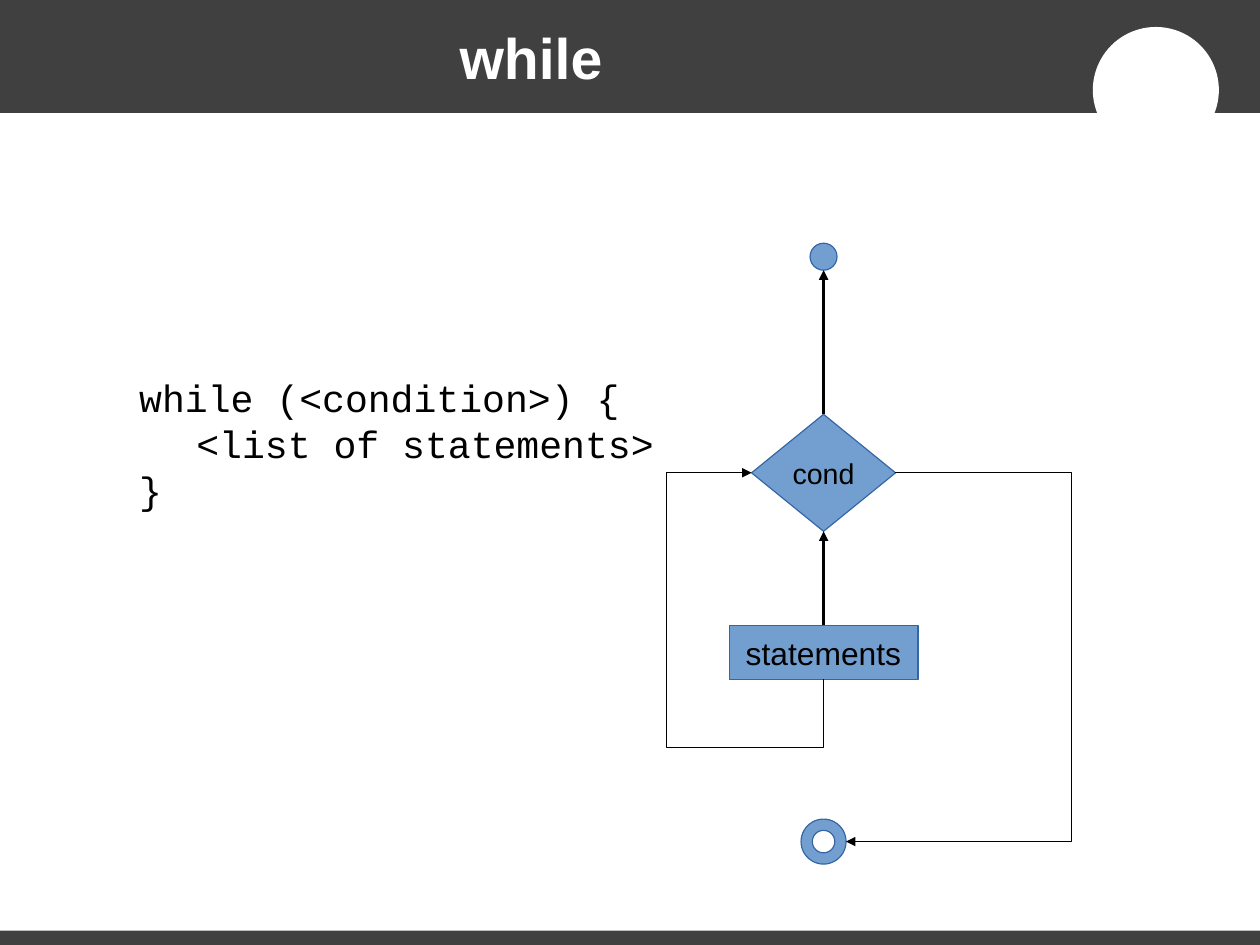
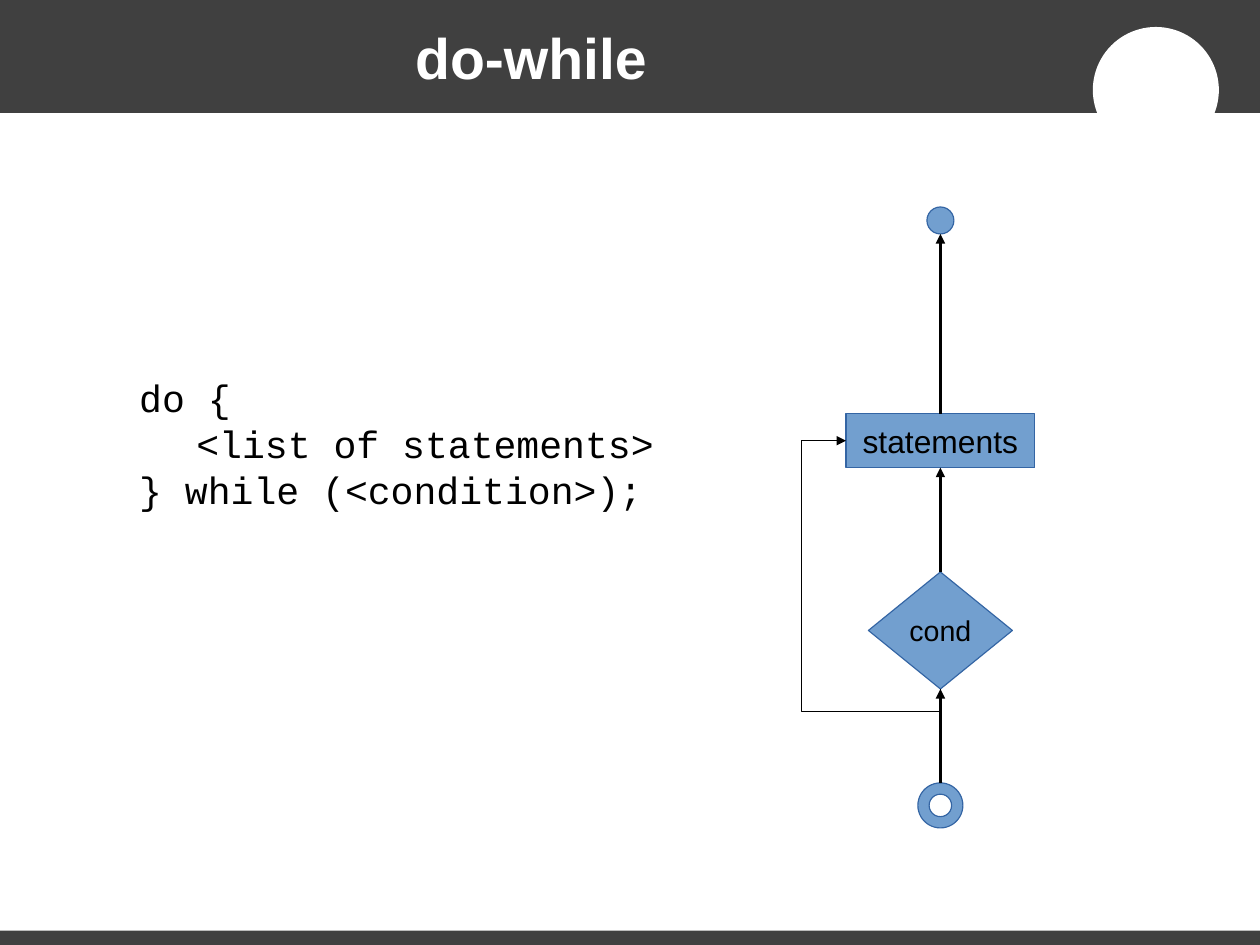
from lxml import etree
from pptx import Presentation
from pptx.dml.color import RGBColor
from pptx.enum.shapes import MSO_CONNECTOR, MSO_SHAPE
from pptx.enum.text import MSO_ANCHOR, PP_ALIGN
from pptx.oxml.ns import qn
from pptx.util import Pt

RECTANGLE, OVAL = MSO_SHAPE.RECTANGLE, MSO_SHAPE.OVAL
DECISION, PROCESS = MSO_SHAPE.FLOWCHART_DECISION, MSO_SHAPE.FLOWCHART_PROCESS
DOT, DONUT = MSO_SHAPE.FLOWCHART_CONNECTOR, MSO_SHAPE.DONUT
STRAIGHT = MSO_CONNECTOR.STRAIGHT
TOP, MIDDLE = MSO_ANCHOR.TOP, MSO_ANCHOR.MIDDLE
LEFT, CENTER = PP_ALIGN.LEFT, PP_ALIGN.CENTER
SITE_TOP, SITE_BOTTOM = 0, 2

color = RGBColor.from_string
DARK, WHITE, BLACK = "404040", "FFFFFF", "000000"
NODE_FILL, NODE_LINE = "729FCF", "3465A4"
WIDTH, HEIGHT = 793.7, 595.28
BAND_HEIGHT, FOOTER_TOP = 71.2, 586.2

# Preset, width, height, label and label size of each flowchart part
NODES = {
    "cond": (DECISION, 90.7, 73.7, "cond", 18),
    "end": (DOT, 17, 17, "", 0),
    "start": (DONUT, 28.35, 28.35, "", 0),
    "body": (PROCESS, 119, 34, "statements", 20),
}

# loop: from, to, lowest y, leftmost x; leave_x: right side of the way round
SLIDES = [
    {
        "title": "while",
        "code": ["while (<condition>) {", "\t<list of statements>", "}"],
        "axis": 518.8,
        "tops": {"cond": 261, "end": 153.2, "start": 516, "body": 394},
        "steps": [("cond", "end"), ("body", "cond")],
        "loop": ("body", "cond", 470.7, 420),
        "leave_x": 675,
    },
    {
        "title": "do-while",
        "code": ["do {", "\t<list of statements>", "} while (<condition>);"],
        "axis": 592.4,
        "tops": {"cond": 360.3, "end": 130.4, "start": 493.2, "body": 260.6},
        "steps": [("body", "end"), ("cond", "body"), ("start", "cond")],
        "loop": ("cond", "body", 448, 505),
        "leave_x": None,
    },
]


def write(frame, lines, size, font="Arial", ink=BLACK, bold=False, align=CENTER,
          anchor=MIDDLE, wrap=True, inset=None):
    frame.word_wrap = wrap
    frame.vertical_anchor = anchor
    if inset is not None:
        frame.margin_left = frame.margin_right = Pt(inset)
        frame.margin_top = frame.margin_bottom = Pt(inset)
    for number, line in enumerate(lines):
        paragraph = frame.add_paragraph() if number else frame.paragraphs[0]
        paragraph.alignment = align
        run = paragraph.add_run()
        run.text = line
        run.font.name, run.font.size, run.font.bold = font, Pt(size), bold
        run.font.color.rgb = color(ink)


def add_filled(shapes, preset, box, fill, line=None):
    shape = shapes.add_shape(preset, *map(Pt, box))
    shape.shadow.inherit = False
    shape.fill.solid()
    shape.fill.fore_color.rgb = color(fill)
    if line:
        shape.line.color.rgb = color(line)
        shape.line.width = Pt(0)
    else:
        shape.line.fill.background()
    return shape


deck = Presentation()
deck.slide_width, deck.slide_height = Pt(WIDTH), Pt(HEIGHT)

for content in SLIDES:
    shapes = deck.slides.add_slide(deck.slide_layouts[6]).shapes

    # Header band, round cut-out and footer band
    add_filled(shapes, RECTANGLE, (0, 0, WIDTH, BAND_HEIGHT), DARK)
    add_filled(shapes, OVAL, (688.4, 17, 79.4, 79.4), WHITE)
    add_filled(shapes, RECTANGLE, (0, FOOTER_TOP, WIDTH, HEIGHT - FOOTER_TOP), DARK)

    # Title and code
    title = shapes.add_textbox(0, 0, Pt(669), Pt(BAND_HEIGHT))
    write(title.text_frame, [content["title"]], 36, ink=WHITE, bold=True, inset=0)
    code = shapes.add_textbox(Pt(80.6), Pt(232.6), Pt(675), Pt(93.6))
    write(code.text_frame, content["code"], 24, font="Courier New", align=LEFT, anchor=TOP)

    # Flowchart parts, centred on one axis
    axis = content["axis"]
    nodes = {}
    for part, (preset, width, height, label, size) in NODES.items():
        box = (axis - width / 2, content["tops"][part], width, height)
        nodes[part] = add_filled(shapes, preset, box, NODE_FILL, NODE_LINE)
        if label:
            write(nodes[part].text_frame, [label], size, wrap=False)

    # Straight arrows up the axis
    arrows = []
    for source, target in content["steps"]:
        lower, upper = nodes[source], nodes[target]
        step = shapes.add_connector(STRAIGHT, Pt(axis), lower.top,
                                    Pt(axis), upper.top + upper.height)
        step.begin_connect(lower, SITE_TOP)
        if target != "end":  # a round part numbers its bottom site differently
            step.end_connect(upper, SITE_BOTTOM)
        arrows.append(step)

    # Bent arrows: back round the left side, and out round the right side
    source, target, low_y, left_x = content["loop"]
    origin, goal = nodes[source], nodes[target]
    goal_y = goal.top + goal.height // 2
    routes = [[(Pt(axis), origin.top + origin.height), (Pt(axis), Pt(low_y)),
               (Pt(left_x), Pt(low_y)), (Pt(left_x), goal_y), (goal.left, goal_y)]]
    if content["leave_x"]:
        cond, start = nodes["cond"], nodes["start"]
        cond_y, start_y = (node.top + node.height // 2 for node in (cond, start))
        leave_x = Pt(content["leave_x"])
        routes.append([(cond.left + cond.width, cond_y), (leave_x, cond_y),
                       (leave_x, start_y), (start.left + start.width, start_y)])
    for first, *bends in routes:
        builder = shapes.build_freeform(*first)
        builder.add_line_segments(bends, close=False)
        route = builder.convert_to_shape()
        route.fill.background()
        arrows.append(route)

    # Shared arrow style
    for arrow in arrows:
        arrow.line.color.rgb = color(BLACK)
        arrow.line.width = Pt(0)
        properties = arrow._element.spPr
        etree.SubElement(properties.find(qn("a:ln")), qn("a:tailEnd"), type="triangle")
        etree.SubElement(properties, qn("a:effectLst"))

deck.save("out.pptx")
